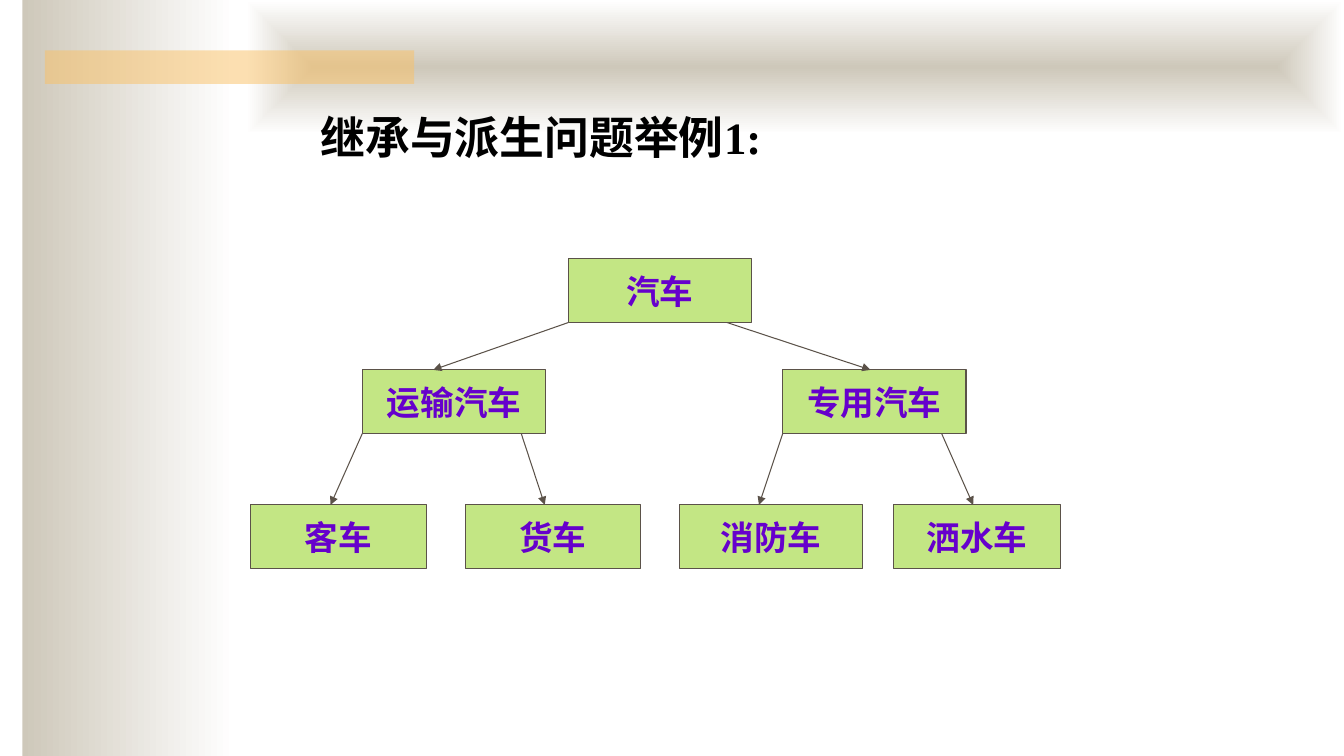
from dataclasses import dataclass

import pptx
import pptx.dml.color
import pptx.enum.shapes
import pptx.enum.text
import pptx.oxml
import pptx.oxml.ns
import pptx.util
from pptx.util import Pt


@dataclass(frozen=True)
class Theme:
    font: str = "Times New Roman"
    title_size: int = 32
    class_size: int = 24
    title: str = "000000"
    class_name: str = "6600CC"
    class_fill: str = "C3E684"
    outline: str = "5B5249"
    band: str = "CEC8BA"
    paper: str = "FFFFFF"
    accent: str = "FAC164"


@dataclass(frozen=True)
class VehicleClass:
    """A box of the tree; entry is the offset of its incoming arrow from the left side."""
    name: str
    left: float
    top: float
    width: float
    entry: float = 0


THEME = Theme()
BOX_HEIGHT = 45.4
RIGHT_EXIT = 113.5
LEAF_LEFT, LEAF_PITCH, LEAF_ENTRY = 179.3, 153.1, 56.9
ROOT_TOP, BRANCH_TOP, LEAF_TOP = 185, 264.2, 360.7

ROOT = VehicleClass("汽车", 406.1, ROOT_TOP, 131)
BRANCHES = [
    VehicleClass("运输汽车", 259, BRANCH_TOP, 131, 50.6),
    VehicleClass("专用汽车", 559.4, BRANCH_TOP, 131, 62.7),
]
LEAVES = [
    VehicleClass(name, LEAF_LEFT + i * LEAF_PITCH, LEAF_TOP, width, LEAF_ENTRY)
    for i, (name, width) in enumerate(
        [("客车", 125.3), ("货车", 125.3), ("消防车", 131), ("洒水车", 119.5)])
]


def rgb(value):
    return pptx.dml.color.RGBColor.from_string(value)


def xml(text):
    return pptx.oxml.parse_xml(
        text.replace("/>", f' {pptx.oxml.ns.nsdecls("a")}/>', 1) if text.endswith("/>") and text.count("<") == 1
        else text.replace(">", f' {pptx.oxml.ns.nsdecls("a")}>', 1))


def add_rectangle(slide, left, top, width, height):
    rectangle = slide.shapes.add_shape(
        pptx.enum.shapes.MSO_SHAPE.RECTANGLE, Pt(left), Pt(top), Pt(width), Pt(height))
    rectangle.shadow.inherit = False
    rectangle.line.fill.background()
    return rectangle


def add_gradient_band(slide, left, top, width, height, from_center=False):
    band = add_rectangle(slide, left, top, width, height)
    band.fill.gradient()
    band.fill.gradient_angle = 0
    for stop, color, position in zip(band.fill.gradient_stops, (THEME.band, THEME.paper), (0, 1)):
        stop.color.rgb = rgb(color)
        stop.position = position
    if from_center:
        direction = band._element.spPr.find(".//" + pptx.oxml.ns.qn("a:lin"))
        direction.getparent().replace(direction, xml(
            '<a:path path="rect"><a:fillToRect l="50000" t="50000" r="50000" b="50000"/></a:path>'))


def add_accent_bar(slide):
    bar = add_rectangle(slide, 32, 36, 264, 24)
    bar.fill.solid()
    bar.fill.fore_color.rgb = rgb(THEME.accent)
    color = bar._element.spPr.find(".//" + pptx.oxml.ns.qn("a:srgbClr"))
    color.append(xml('<a:alpha val="50000"/>'))


def write(paragraph, text, size, color):
    paragraph.text = text
    paragraph.font.name = THEME.font
    paragraph.font.size = Pt(size)
    paragraph.font.bold = True
    paragraph.font.color.rgb = rgb(color)


def add_title(slide, text):
    title = slide.shapes.add_textbox(Pt(222), Pt(48), Pt(564), Pt(72))
    title.text_frame.word_wrap = True
    title.text_frame.vertical_anchor = pptx.enum.text.MSO_ANCHOR.BOTTOM
    write(title.text_frame.paragraphs[0], text, THEME.title_size, THEME.title)


def add_class_box(slide, vehicle):
    box = add_rectangle(slide, vehicle.left, vehicle.top, vehicle.width, BOX_HEIGHT)
    box.fill.solid()
    box.fill.fore_color.rgb = rgb(THEME.class_fill)
    box.line.color.rgb = rgb(THEME.outline)
    box.line.width = Pt(0.75)
    frame = box.text_frame
    frame.word_wrap = False
    frame.vertical_anchor = pptx.enum.text.MSO_ANCHOR.MIDDLE
    name = frame.paragraphs[0]
    write(name, vehicle.name, THEME.class_size, THEME.class_name)
    name.alignment = pptx.enum.text.PP_ALIGN.CENTER


def add_arrow(slide, start_x, start_y, end_x, end_y):
    arrow = slide.shapes.add_connector(
        pptx.enum.shapes.MSO_CONNECTOR.STRAIGHT, Pt(start_x), Pt(start_y), Pt(end_x), Pt(end_y))
    arrow.line.color.rgb = rgb(THEME.outline)
    arrow.line.width = Pt(0.75)
    arrow.line._get_or_add_ln().append(xml('<a:tailEnd type="triangle"/>'))
    arrow._element.spPr.append(xml("<a:effectLst/>"))


def add_derivation(slide, parent, children):
    """Arrows from the parent's lower left corner and right part to its two children."""
    for child, exit_offset in zip(children, (0, RIGHT_EXIT)):
        add_arrow(slide, parent.left + exit_offset, parent.top + BOX_HEIGHT,
                  child.left + child.entry, child.top)


def main():
    deck = pptx.Presentation()
    deck.slide_width, deck.slide_height = Pt(960.48), Pt(540)
    slide = deck.slides.add_slide(deck.slide_layouts[6])

    add_gradient_band(slide, 16, 0, 152, 540)
    add_gradient_band(slide, 176, 0, 784, 96, from_center=True)
    add_accent_bar(slide)

    for vehicle in [ROOT, *BRANCHES, *LEAVES]:
        add_class_box(slide, vehicle)
    add_derivation(slide, ROOT, BRANCHES)
    add_derivation(slide, BRANCHES[0], LEAVES[:2])
    add_derivation(slide, BRANCHES[1], LEAVES[2:])

    add_title(slide, "继承与派生问题举例1:")
    deck.save("out.pptx")


if __name__ == "__main__":
    main()
